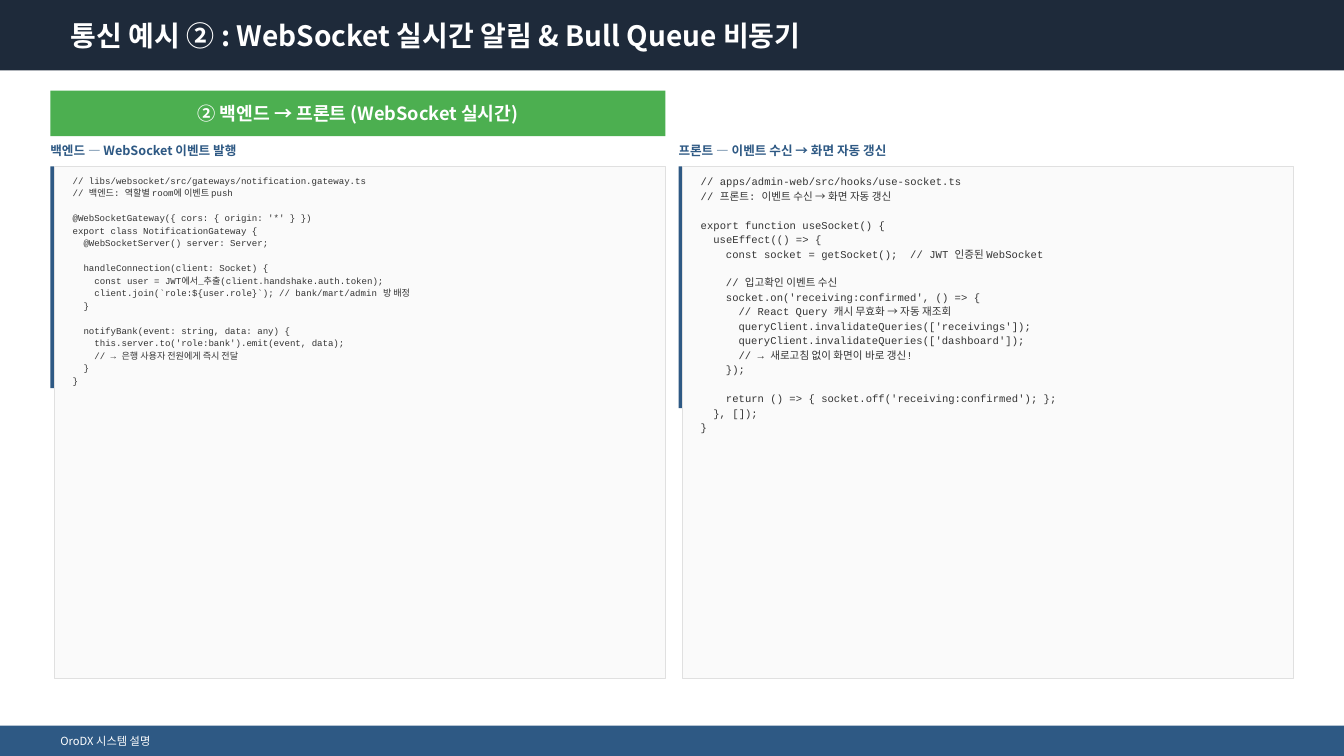
from pptx import Presentation
from pptx.dml.color import RGBColor
from pptx.enum.shapes import MSO_SHAPE
from pptx.enum.text import MSO_ANCHOR, MSO_AUTO_SIZE, PP_ALIGN
from pptx.util import Emu, Pt

RECT = MSO_SHAPE.RECTANGLE
MIDDLE, TOP = MSO_ANCHOR.MIDDLE, MSO_ANCHOR.TOP
LEFT, CENTER = PP_ALIGN.LEFT, PP_ALIGN.CENTER
NO_FIT = MSO_AUTO_SIZE.NONE

PX = 9144  # 100 px to the inch
SLIDE_W, SLIDE_H = 1333, 750
SANS, MONO = "Noto Sans CJK KR", "Courier New"
NAVY, BLUE, GREEN, WHITE = "1E2A3A", "2E5984", "4CAF50", "FFFFFF"
PANEL, BORDER, INK = "FAFAFA", "E0E0E0", "333333"
LINE_SPACING = 1.15
LINE_PITCH = 1.37  # drawn line height per point of code
CHAR_WIDTH = 0.6   # monospaced advance per point of code

BACKEND_CODE = """\
// libs/websocket/src/gateways/notification.gateway.ts
// 백엔드: 역할별 room에 이벤트 push

@WebSocketGateway({ cors: { origin: '*' } })
export class NotificationGateway {
  @WebSocketServer() server: Server;

  handleConnection(client: Socket) {
    const user = JWT에서_추출(client.handshake.auth.token);
    client.join(`role:${user.role}`); // bank/mart/admin 방 배정
  }

  notifyBank(event: string, data: any) {
    this.server.to('role:bank').emit(event, data);
    // → 은행 사용자 전원에게 즉시 전달
  }
}"""

FRONTEND_CODE = """\
// apps/admin-web/src/hooks/use-socket.ts
// 프론트: 이벤트 수신 → 화면 자동 갱신

export function useSocket() {
  useEffect(() => {
    const socket = getSocket();  // JWT 인증된 WebSocket

    // 입고확인 이벤트 수신
    socket.on('receiving:confirmed', () => {
      // React Query 캐시 무효화 → 자동 재조회
      queryClient.invalidateQueries(['receivings']);
      queryClient.invalidateQueries(['dashboard']);
      // → 새로고침 없이 화면이 바로 갱신!
    });

    return () => { socket.off('receiving:confirmed'); };
  }, []);
}"""


def px(*lengths):
    return [Emu(length * PX) for length in lengths]


def color(hex_code):
    return RGBColor.from_string(hex_code)


def set_font(paragraph, name, size, hex_code, bold=False):
    font = paragraph.font
    font.name, font.size, font.bold = name, Pt(size), bold
    font.color.rgb = color(hex_code)


def set_frame(frame, anchor, margins=None):
    frame.word_wrap = True
    frame.auto_size = NO_FIT
    frame.vertical_anchor = anchor
    if margins is not None:
        (frame.margin_left, frame.margin_top,
         frame.margin_right, frame.margin_bottom) = px(*[margins] * 4)


def write_line(holder, text, size, hex_code, bold=False, align=LEFT, margins=None):
    frame = holder.text_frame
    set_frame(frame, MIDDLE, margins)
    line = frame.paragraphs[0]
    line.text, line.alignment = text, align
    set_font(line, SANS, size, hex_code, bold)


def add_block(slide, box, fill, border=None):
    block = slide.shapes.add_shape(RECT, *px(*box))
    block.shadow.inherit = False
    block.fill.solid()
    block.fill.fore_color.rgb = color(fill)
    if border:
        block.line.color.rgb = color(border)
        block.line.width = Pt(0.5)
    else:
        block.line.fill.background()
    return block


def add_header(slide, box, text):
    x, y, w, h = box
    bar = add_block(slide, box, NAVY)
    title = slide.shapes.title
    title.element.addprevious(bar.element)  # bar goes behind the title
    title.left, title.top, title.width, title.height = px(x + 60, y + 5, 1200, h - 10)
    write_line(title, text, 20, WHITE, bold=True)


def add_footer(slide, box, text):
    x, y, w, h = box
    add_block(slide, box, BLUE)
    label = slide.shapes.add_textbox(*px(x + 50, y, 400, h))
    write_line(label, text, 8, WHITE)


def write_code(frame, code, size):
    """One paragraph per line; blank lines become spacing, nesting becomes indents."""
    set_frame(frame, TOP, 7)
    line, gap = frame.paragraphs[0], 0
    for source in code.split("\n"):
        text = source.lstrip()
        if not text:
            gap += size * LINE_PITCH
            continue
        if line.text:
            line = frame.add_paragraph()
        line.text = text
        line.line_spacing = LINE_SPACING
        line.space_before = Pt(gap)
        indent = Pt((len(source) - len(text)) * CHAR_WIDTH * size)
        properties = line._p.get_or_add_pPr()
        properties.set("marL", str(indent))
        properties.set("indent", "0")
        set_font(line, MONO, size, INK)
        gap = 0


def add_code_column(slide, box, heading, code, size, accent_h):
    x, y, w, h = box
    label = slide.shapes.add_textbox(*px(x, y, w, 25))
    write_line(label, heading, 9, BLUE, bold=True, margins=0)
    panel_y, panel_h = y + 28, h - 28
    add_block(slide, (x, panel_y, 4, accent_h), BLUE)
    add_block(slide, (x + 4, panel_y, w - 4, panel_h), PANEL, BORDER)
    listing = slide.shapes.add_textbox(*px(x + 15, panel_y, w - 25, panel_h))
    write_code(listing.text_frame, code, size)


def main():
    deck = Presentation()
    deck.slide_width, deck.slide_height = px(SLIDE_W, SLIDE_H)
    slide = deck.slides.add_slide(deck.slide_layouts[5])

    # Header and footer bars
    add_header(slide, (0, 0, SLIDE_W, 70),
               "통신 예시 ② : WebSocket 실시간 알림 & Bull Queue 비동기")
    add_footer(slide, (0, 720, SLIDE_W, 30), "OroDX 시스템 설명")

    # Section banner
    banner = add_block(slide, (50, 90, 610, 45), GREEN)
    write_line(banner, "② 백엔드 → 프론트 (WebSocket 실시간)", 13, WHITE,
               bold=True, align=CENTER, margins=0)

    # Code columns
    columns = [
        ("백엔드 — WebSocket 이벤트 발행", BACKEND_CODE, 6.5, 220),
        ("프론트 — 이벤트 수신 → 화면 자동 갱신", FRONTEND_CODE, 7.5, 240),
    ]
    for index, column in enumerate(columns):
        add_code_column(slide, (50 + index * 623, 137, 610, 536), *column)

    deck.save("out.pptx")


if __name__ == "__main__":
    main()
